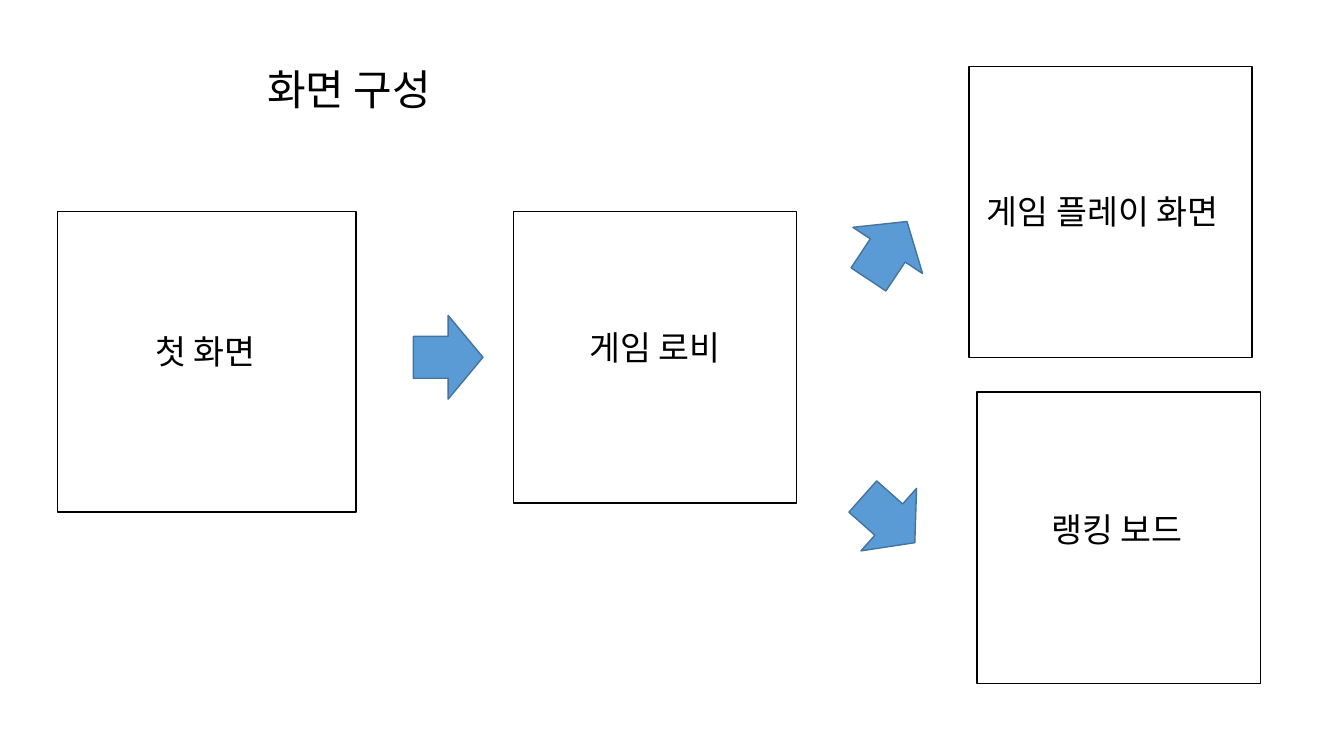
from pptx import Presentation, util as u
from pptx.dml.color import RGBColor
from pptx.enum import shapes, text
from pptx.oxml.ns import qn
from lxml import etree

BLACK = RGBColor(0x00, 0x00, 0x00)
WHITE = RGBColor(0xFF, 0xFF, 0xFF)
BLUE = RGBColor(0x5B, 0x9B, 0xD5)
DARK_BLUE = RGBColor(0x43, 0x73, 0x9E)
FONT = "Noto Sans CJK KR"

# Screen box, then the label box over it
SCREENS = [
    ("랭킹 보드", (9.69, 3.89, 2.81, 2.89), (9.83, 5.0, 3.65, 0.5)),
    ("게임 플레이 화면", (9.61, 0.66, 2.81, 2.89), (9.19, 1.84, 3.65, 0.5)),
    ("게임 로비", (5.09, 2.1, 2.81, 2.89), (5.25, 3.19, 4.24, 0.5)),
    ("첫 화면", (0.57, 2.1, 2.96, 2.98), (0.94, 3.23, 4.24, 0.5)),
]
ARROWS = [(4.1, 3.13, 0), (8.46, 2.07, 303.6), (8.47, 4.74, 41.6)]


def inches(box):
    return [u.Inches(v) for v in box]


def add_run(p, words, size):
    r = p.add_run()
    r.text = words
    r.font.size = u.Pt(size)
    r.font.name = FONT
    r.font.color.rgb = BLACK
    ea = etree.SubElement(r.font._element, qn("a:ea"))
    ea.set("typeface", FONT)


def add_preset(s, kind, box, fill, line):
    sp = s.shapes.add_shape(kind, *inches(box))
    sp.shadow.inherit = False
    sp.fill.solid()
    sp.fill.fore_color.rgb = fill
    sp.line.color.rgb = line
    sp.line.width = u.Pt(1)
    return sp


def add_title(s, box):
    sp = s.shapes.title
    sp.left, sp.top, sp.width, sp.height = inches(box)
    tf = sp.text_frame
    tf.auto_size = text.MSO_AUTO_SIZE.NONE
    tf.vertical_anchor = text.MSO_ANCHOR.MIDDLE
    p = tf.paragraphs[0]
    p.alignment = text.PP_ALIGN.LEFT
    p.line_spacing = 0.9
    add_run(p, "화면 구성", 30)


def add_label(s, words, box):
    tf = s.shapes.add_textbox(*inches(box)).text_frame
    tf.word_wrap = True
    tf.auto_size = text.MSO_AUTO_SIZE.SHAPE_TO_FIT_TEXT
    p = tf.paragraphs[0]
    p.level = 1
    pPr = p._p.get_or_add_pPr()
    pPr.set("marL", str(u.Inches(0.5)))
    pPr.set("indent", "0")
    add_run(p, words, 24)


def add_arrow(s, left, top, angle):
    sp = add_preset(s, shapes.MSO_SHAPE.RIGHT_ARROW, (left, top, 0.69, 0.83), BLUE, DARK_BLUE)
    sp.rotation = angle


def main():
    prs = Presentation()
    prs.slide_width, prs.slide_height = inches((13.33, 7.5))
    s = prs.slides.add_slide(prs.slide_layouts[5])
    add_title(s, (2.55, 0.72, 2.65, 0.39))
    for words, screen, label in SCREENS:
        add_preset(s, shapes.MSO_SHAPE.RECTANGLE, screen, WHITE, BLACK)
        add_label(s, words, label)
    for arrow in ARROWS:
        add_arrow(s, *arrow)
    prs.save("out.pptx")


if __name__ == "__main__":
    main()
